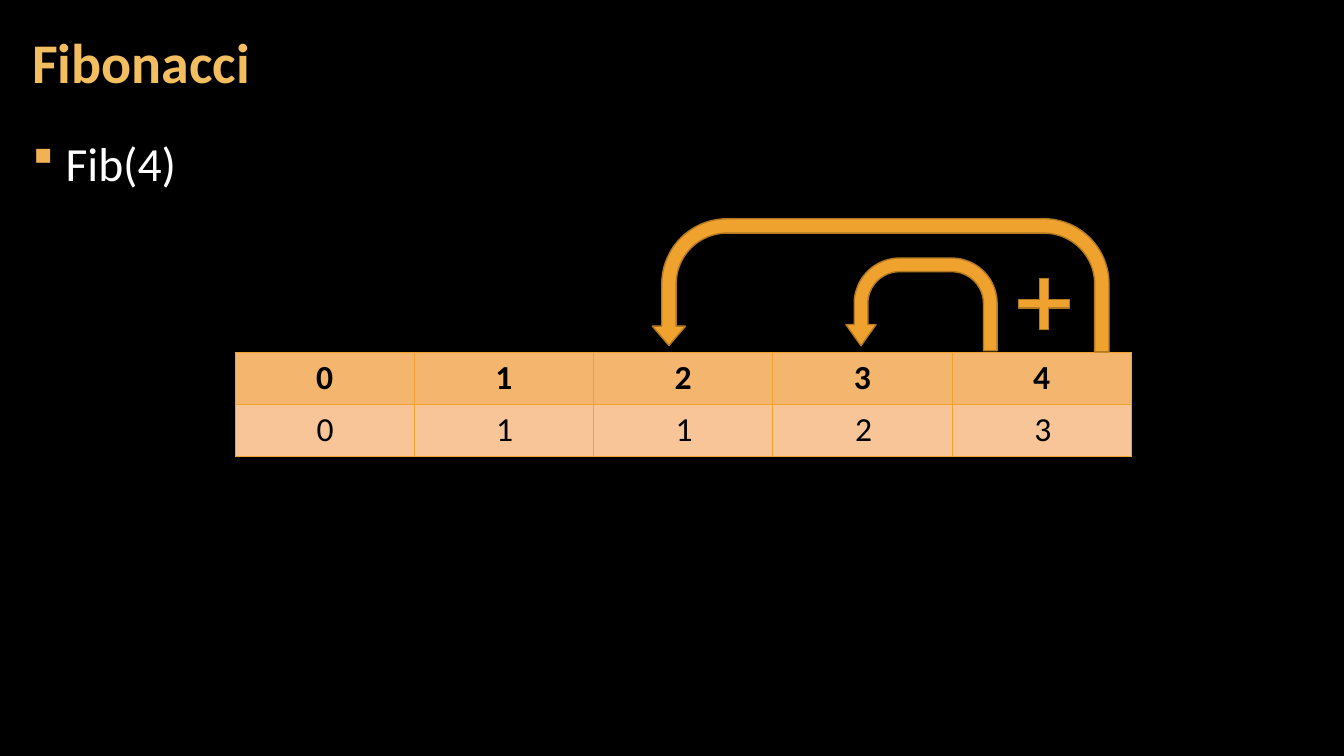
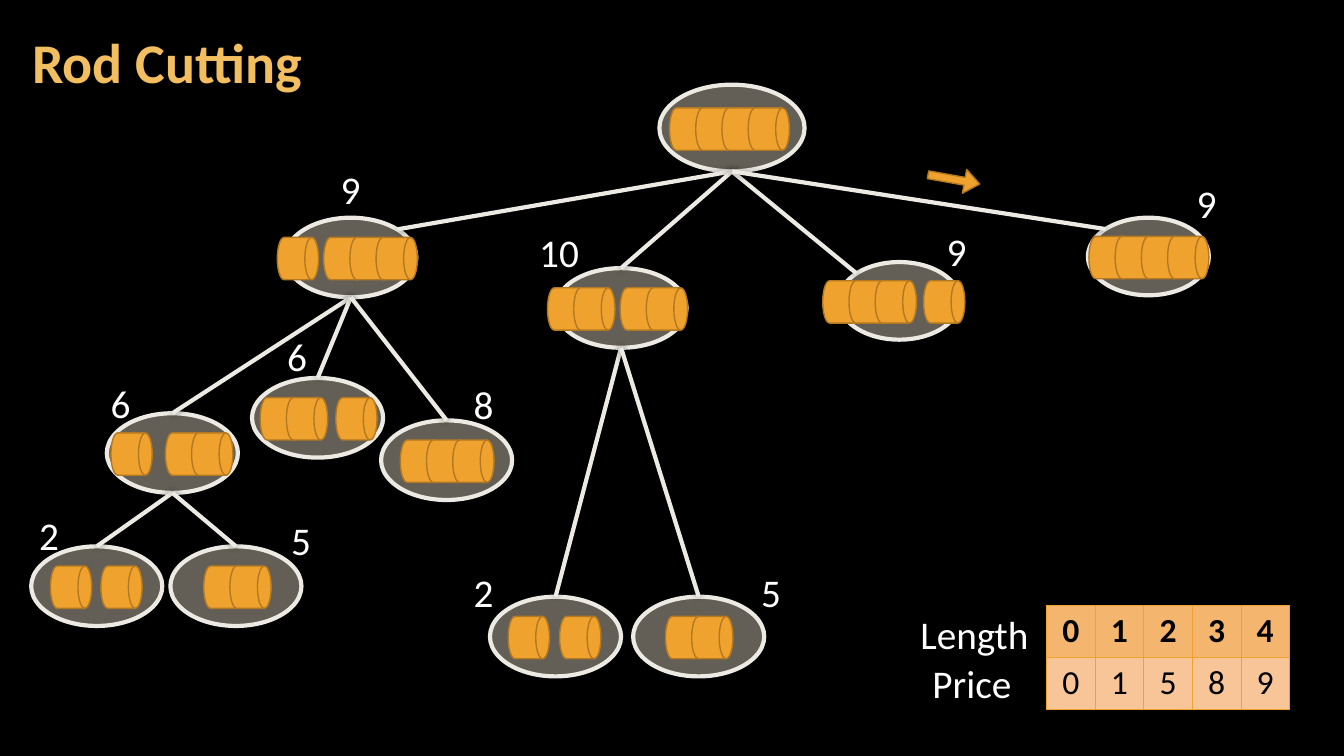
from collections import namedtuple
from math import sqrt

from lxml import etree
from pptx import Presentation
from pptx.dml.color import RGBColor
from pptx.enum.shapes import MSO_CONNECTOR, MSO_SHAPE
from pptx.enum.text import MSO_ANCHOR, PP_ALIGN
from pptx.oxml import parse_xml
from pptx.oxml.ns import nsdecls, qn
from pptx.util import Inches, Pt

# Shared look
FONT = "Calibri"
BLACK = RGBColor(0x00, 0x00, 0x00)
WHITE = RGBColor(0xFF, 0xFF, 0xFF)
TITLE_GOLD = RGBColor(0xF3, 0xBE, 0x60)
BULLET_GOLD = RGBColor(0xF2, 0xB2, 0x54)
ORANGE = RGBColor(0xF0, 0xA2, 0x2E)
DARK_ORANGE = RGBColor(0xB2, 0x78, 0x22)
HEADER_FILL = RGBColor(0xF4, 0xB6, 0x6E)
BODY_FILL = RGBColor(0xF7, 0xC5, 0x97)
NODE_FILL = RGBColor(0xC7, 0xBF, 0xAC)
NODE_LINE = RGBColor(0xEC, 0xEA, 0xE3)
TABLE_H = 1.03

# Rod segments: each overlaps the one before it
DRUM_W, DRUM_H, DRUM_STEP = 0.41, 0.42, 0.26

# rods: (left, segments); label: (text, left, top)
Node = namedtuple("Node", "x y w h rods label")
NODES = {
    "root": Node(6.54, 0.84, 1.44, 0.86, [(6.64, 4)], None),
    "cut 1": Node(2.83, 2.16, 1.3, 0.79, [(2.75, 1), (3.21, 3)], ("9", 3.28, 1.59)),
    "cut 2": Node(5.51, 2.66, 1.3, 0.79, [(5.43, 2), (6.15, 2)], ("10", 5.25, 2.22)),
    "cut 3": Node(8.32, 2.6, 1.2, 0.77, [(8.16, 3), (9.16, 1)], ("9", 9.29, 2.21)),
    "no cut": Node(10.79, 2.16, 1.2, 0.77, [(10.8, 4)], ("9", 11.77, 1.73)),
    "1 / 1+2": Node(1.06, 4.1, 1.3, 0.79, [(1.1, 1), (1.64, 2)], ("6", 1, 3.71)),
    "1 / 3": Node(3.78, 4.17, 1.3, 0.79, [(3.97, 3)], ("8", 4.6, 3.72)),
    "1 / 2+1": Node(2.5, 3.75, 1.3, 0.79, [(2.58, 2), (3.33, 1)], ("6", 2.75, 3.25)),
    "1 / 1 / 1+1": Node(0.31, 5.42, 1.3, 0.79, [(0.5, 1), (1, 1)], ("2", 0.29, 5.02)),
    "1 / 1 / 2": Node(1.69, 5.42, 1.3, 0.79, [(2.02, 2)], ("5", 2.79, 5.07)),
    "2 / 1+1": Node(4.86, 5.92, 1.3, 0.79, [(5.04, 1), (5.55, 1)], ("2", 4.6, 5.59)),
    "2 / 2": Node(6.28, 5.92, 1.3, 0.79, [(6.6, 2)], ("5", 7.45, 5.59)),
}
# Parent, child, side of the child's outline: -1 upper left, 0 top, 1 upper right
EDGES = [
    ("root", "cut 1", 1), ("root", "cut 2", 0),
    ("root", "cut 3", -1), ("root", "no cut", -1),
    ("cut 1", "1 / 1+2", 0), ("cut 1", "1 / 2+1", 0), ("cut 1", "1 / 3", 0),
    ("1 / 1+2", "1 / 1 / 1+1", 0), ("1 / 1+2", "1 / 1 / 2", 0),
    ("cut 2", "2 / 1+1", 0), ("cut 2", "2 / 2", 0),
]


def format_runs(p, size, color, bold=False):
    for r in p.runs:
        r.font.name = FONT
        r.font.size = Pt(size)
        r.font.bold = bold
        r.font.color.rgb = color


def add_text(slide, text, x, y, w, h, size, color=WHITE, bold=False, wrap=False):
    tf = slide.shapes.add_textbox(Inches(x), Inches(y), Inches(w), Inches(h)).text_frame
    tf.word_wrap = wrap
    tf.text = text
    format_runs(tf.paragraphs[0], size, color, bold)
    return tf


def set_wide_margins(tf):
    tf.margin_left = tf.margin_right = Inches(0.12)
    tf.margin_top = tf.margin_bottom = Inches(0.04)


def add_titled_slide(prs, title):
    slide = prs.slides.add_slide(prs.slide_layouts[6])
    tf = add_text(slide, title, 0.2, 0.04, 10.47, 1.21, 40, TITLE_GOLD, True, True)
    set_wide_margins(tf)
    tf.vertical_anchor = MSO_ANCHOR.MIDDLE
    tf.paragraphs[0].line_spacing = 0.9
    return slide


def add_bullet(slide, text):
    tf = add_text(slide, text, 0.2, 1.26, 12.91, 6.09, 34, wrap=True)
    set_wide_margins(tf)
    p = tf.paragraphs[0]
    pPr = p._p.get_or_add_pPr()
    pPr.set("marL", str(Inches(0.33)))
    pPr.set("indent", str(-Inches(0.33)))
    color = etree.SubElement(pPr, qn("a:buClr"))
    etree.SubElement(color, qn("a:srgbClr"), val=str(BULLET_GOLD))
    # Wingdings draws this character as a small square
    etree.SubElement(pPr, qn("a:buFont"), typeface="Wingdings", charset="2")
    etree.SubElement(pPr, qn("a:buChar"), char="§")
    p.line_spacing = 1.05


def add_shape(slide, kind, x, y, w, h, adjustments=(), fill=ORANGE,
              line=DARK_ORANGE, width=1):
    sp = slide.shapes.add_shape(kind, Inches(x), Inches(y), Inches(w), Inches(h))
    sp.shadow.inherit = False
    sp.fill.solid()
    sp.fill.fore_color.rgb = fill
    sp.line.color.rgb = line
    sp.line.width = Pt(width)
    for i, value in enumerate(adjustments):
        sp.adjustments[i] = value
    return sp


def add_soft_shadow(sp):
    spPr = sp._element.spPr
    for old in spPr.findall(qn("a:effectLst")):
        spPr.remove(old)
    spPr.append(parse_xml(
        f'<a:effectLst {nsdecls("a")}><a:outerShdw blurRad="{Pt(5)}" dist="0" dir="0">'
        f'<a:srgbClr val="{BLACK}"><a:alpha val="40000"/></a:srgbClr>'
        '</a:outerShdw></a:effectLst>'))


def add_back_arrow(slide, x, y, w, h, adjustments):
    sp = add_shape(slide, MSO_SHAPE.U_TURN_ARROW, x, y, w, h, adjustments)
    sp._element.spPr.find(qn("a:xfrm")).set("flipH", "1")


def add_cell_borders(cell):
    tcPr = cell._tc.get_or_add_tcPr()
    for side in ("lnL", "lnR", "lnT", "lnB"):
        tcPr.append(parse_xml(
            f'<a:{side} {nsdecls("a")} w="{Pt(0.5)}"><a:solidFill>'
            f'<a:srgbClr val="{ORANGE}"/></a:solidFill></a:{side}>'))


def add_lookup_table(slide, rows, x, y, w):
    frame = slide.shapes.add_table(len(rows), len(rows[0]), Inches(x), Inches(y),
                                   Inches(w), Inches(TABLE_H))
    table = frame.table
    for i, row in enumerate(rows):
        for j, value in enumerate(row):
            cell = table.cell(i, j)
            add_cell_borders(cell)
            cell.fill.solid()
            cell.fill.fore_color.rgb = BODY_FILL if i else HEADER_FILL
            cell.text = str(value)
            p = cell.text_frame.paragraphs[0]
            p.alignment = PP_ALIGN.CENTER
            format_runs(p, 24, BLACK, bold=i == 0)


def add_node(slide, node):
    oval = add_shape(slide, MSO_SHAPE.OVAL, node.x, node.y, node.w, node.h,
                     fill=NODE_FILL, line=NODE_LINE, width=3)
    color = oval._element.spPr.find(qn("a:solidFill"))[0]
    etree.SubElement(color, qn("a:alpha"), val="50000")
    add_soft_shadow(oval)
    top = node.y + (node.h - DRUM_H) / 2 + 0.01
    for left, segments in node.rods:
        for i in range(segments):
            add_shape(slide, MSO_SHAPE.FLOWCHART_DIRECT_ACCESS_STORAGE,
                      left + i * DRUM_STEP, top, DRUM_W, DRUM_H)
    if node.label:
        text, x, y = node.label
        add_text(slide, text, x, y, 0.2 + 0.2 * len(text), 0.57, 28)


def add_edge(slide, parent, child, side):
    x, y = child.x + child.w / 2, child.y
    if side:
        x += side * child.w / 2 / sqrt(2)
        y += child.h / 2 * (1 - 1 / sqrt(2))
    line = slide.shapes.add_connector(
        MSO_CONNECTOR.STRAIGHT, Inches(parent.x + parent.w / 2),
        Inches(parent.y + parent.h), Inches(x), Inches(y))
    line.line.color.rgb = NODE_LINE
    line.line.width = Pt(3)
    add_soft_shadow(line)


def build_fibonacci(prs):
    slide = add_titled_slide(prs, "Fibonacci")
    add_bullet(slide, "Fib(4)")
    # The values lie over the table's empty second row
    add_lookup_table(slide, [range(5), [""] * 5], 2.33, 3.5, 8.89)
    for i, value in enumerate((0, 1, 1, 2, 3)):
        tf = add_text(slide, str(value), 2.34 + 1.78 * i, 4, 1.77, 0.5, 24, BLACK,
                      wrap=True)
        tf.paragraphs[0].alignment = PP_ALIGN.CENTER
    # Fib(4) looks back at the two values before it
    add_back_arrow(slide, 8.39, 2.56, 1.5, 0.92, (0.147, 0.163, 0.229, 0.49, 0.946))
    add_back_arrow(slide, 6.47, 2.17, 4.53, 1.32, (0.108, 0.125, 0.146, 0.49, 0.953))
    add_shape(slide, MSO_SHAPE.MATH_PLUS, 10.01, 2.67, 0.69, 0.69, (0.122,))


def build_rod_cutting(prs):
    slide = add_titled_slide(prs, "Rod Cutting")
    # Tree of cuts
    for node in NODES.values():
        add_node(slide, node)
    for parent, child, side in EDGES:
        add_edge(slide, NODES[parent], NODES[child], side)
    arrow = add_shape(slide, MSO_SHAPE.RIGHT_ARROW, 9.2, 1.66, 0.52, 0.24, (0.324, 0.632))
    arrow.rotation = 10.1
    # Price list
    add_lookup_table(slide, [range(5), (0, 1, 5, 8, 9)], 10.38, 6.01, 2.41)
    add_text(slide, "Length", 9.03, 6.01, 1.28, 0.57, 28)
    add_text(slide, "Price", 9.15, 6.49, 0.99, 0.57, 28)


def main():
    prs = Presentation()
    prs.slide_width, prs.slide_height = Inches(13.33), Inches(7.5)
    background = prs.slide_master.background.fill
    background.solid()
    background.fore_color.rgb = BLACK
    build_fibonacci(prs)
    build_rod_cutting(prs)
    prs.save("out.pptx")


if __name__ == "__main__":
    main()
